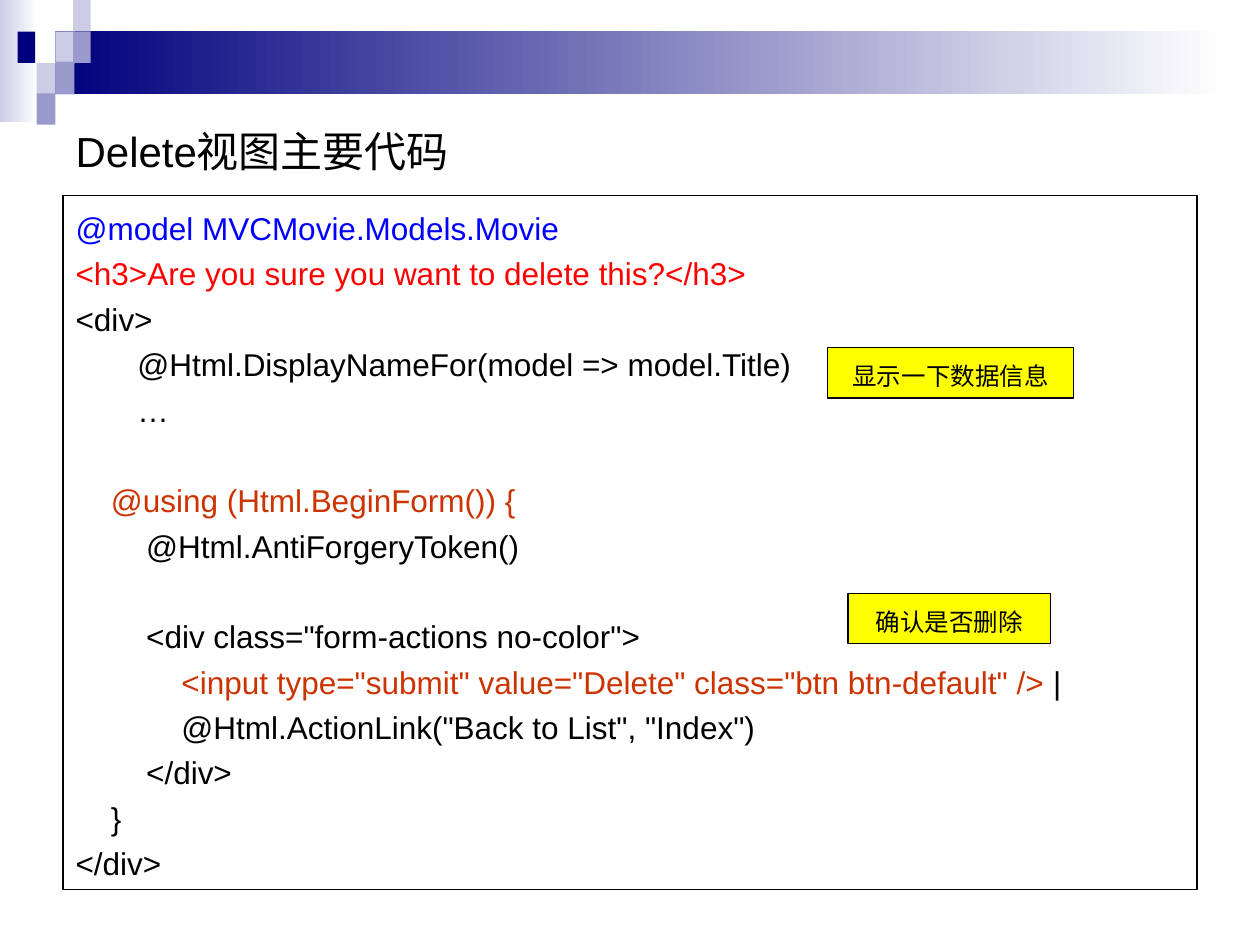
from dataclasses import dataclass
from typing import Optional

from lxml.etree import SubElement
from pptx import Presentation
from pptx.dml.color import RGBColor
from pptx.enum.shapes import MSO_SHAPE
from pptx.enum.text import MSO_ANCHOR, MSO_AUTO_SIZE, PP_ALIGN
from pptx.oxml.ns import qn
from pptx.util import Inches, Pt

COLORS = {
    "navy": "00007D", "periwinkle": "9999CC", "lavender": "CCCCE6",
    "white": "FFFFFF", "black": "000000", "blue": "0000FF",
    "red": "FF0000", "rust": "CC3300", "yellow": "FFFF00",
}
FONT = "Arial"
INDENT_STEP = 0.07  # inches per column of code indent
BLANK_LINE = 25.9  # points left free above a new part of the code


@dataclass
class Block:
    left: float
    top: float
    width: float
    height: float
    color: str
    fade_to: Optional[str] = None


@dataclass
class CodeLine:
    text: str
    indent: int = 0
    color: str = "black"
    tail: str = ""
    blank_before: bool = False


@dataclass
class Callout:
    text: str
    left: float
    top: float
    width: float


BLOCKS = [
    Block(0, 0, 0.3, 0.97, "lavender", "white"),
    Block(0.44, 0.25, 9.29, 0.5, "navy", "white"),
    Block(0.44, 0.25, 0.15, 0.26, "lavender"),
    Block(0.58, 0, 0.14, 0.25, "lavender"),
    Block(0.58, 0.25, 0.14, 0.25, "periwinkle"),
    Block(0.29, 0.5, 0.15, 0.25, "lavender"),
    Block(0.14, 0.25, 0.14, 0.25, "navy"),
    Block(0.44, 0.49, 0.15, 0.26, "periwinkle"),
    Block(0.29, 0.74, 0.15, 0.25, "periwinkle"),
]

CODE = [
    CodeLine("@model MVCMovie.Models.Movie", color="blue"),
    CodeLine("<h3>Are you sure you want to delete this?</h3>", color="red"),
    CodeLine("<div>"),
    CodeLine("@Html.DisplayNameFor(model => model.Title)", 7),
    CodeLine("…", 7),
    CodeLine("@using (Html.BeginForm()) {", 4, "rust", blank_before=True),
    CodeLine("@Html.AntiForgeryToken()", 8),
    CodeLine('<div class="form-actions no-color">', 8, blank_before=True),
    CodeLine('<input type="submit" value="Delete" class="btn btn-default" />',
             12, "rust", tail=" |"),
    CodeLine('@Html.ActionLink("Back to List", "Index")', 12),
    CodeLine("</div>", 8),
    CodeLine("}", 4),
    CodeLine("</div>"),
]

CALLOUTS = [
    Callout("显示一下数据信息", 6.57, 2.76, 1.95),
    Callout("确认是否删除", 6.73, 4.71, 1.61),
]


def rgb(name: str) -> RGBColor:
    return RGBColor.from_string(COLORS[name])


def place(shape, left: float, top: float, width: float, height: float) -> None:
    shape.left, shape.top = Inches(left), Inches(top)
    shape.width, shape.height = Inches(width), Inches(height)


def style_span(span, size: float, color: str = "black") -> None:
    span.font.name = FONT
    span.font.size = Pt(size)
    span.font.color.rgb = rgb(color)


def outline(shape) -> None:
    shape.line.color.rgb = rgb("black")
    shape.line.width = Pt(0.75)


def add_box(page, left: float, top: float, width: float, height: float):
    box = page.shapes.add_shape(MSO_SHAPE.RECTANGLE, Inches(left), Inches(top),
                                Inches(width), Inches(height))
    box.shadow.inherit = False
    return box


def add_block(page, block: Block) -> None:
    box = add_box(page, block.left, block.top, block.width, block.height)
    box.line.fill.background()
    if block.fade_to:
        box.fill.gradient()
        box.fill.gradient_angle = 0
        for stop, name in zip(box.fill.gradient_stops, (block.color, block.fade_to)):
            stop.color.rgb = rgb(name)
    else:
        box.fill.solid()
        box.fill.fore_color.rgb = rgb(block.color)


def write_line(para, line: CodeLine) -> None:
    para.text = line.text
    style_span(para.runs[0], 18, line.color)
    if line.tail:
        span = para.add_run()
        span.text = line.tail
        style_span(span, 18)
    para.alignment = PP_ALIGN.LEFT
    para.line_spacing = 1.2
    para.space_before = Pt(BLANK_LINE if line.blank_before else 0)
    para.space_after = Pt(0)
    properties = para._p.get_or_add_pPr()
    properties.set("marL", str(Inches(line.indent * INDENT_STEP)))
    properties.set("indent", "0")
    SubElement(properties, qn("a:buNone"))


def add_callout(page, callout: Callout) -> None:
    box = add_box(page, callout.left, callout.top, callout.width, 0.4)
    box.fill.solid()
    box.fill.fore_color.rgb = rgb("yellow")
    outline(box)
    frame = box.text_frame
    frame.text = callout.text
    frame.vertical_anchor = MSO_ANCHOR.TOP
    para = frame.paragraphs[0]
    para.alignment = PP_ALIGN.CENTER
    para.line_spacing = 1.25
    style_span(para.runs[0], 14)


deck = Presentation()
deck.slide_width, deck.slide_height = Inches(10), Inches(7.5)
page = deck.slides.add_slide(deck.slide_layouts[1])

# Header decoration
for block in BLOCKS:
    add_block(page, block)

# Title
title = page.shapes.title
place(title, 0.5, 0.84, 9, 0.71)
title.text_frame.text = "Delete视图主要代码"
title.text_frame.vertical_anchor = MSO_ANCHOR.MIDDLE
title.text_frame.auto_size = MSO_AUTO_SIZE.NONE
title.text_frame.paragraphs[0].alignment = PP_ALIGN.LEFT
style_span(title.text_frame.paragraphs[0].runs[0], 24)

# Code listing
listing = page.placeholders[1]
place(listing, 0.5, 1.55, 9, 5.51)
outline(listing)
frame = listing.text_frame
frame.auto_size = MSO_AUTO_SIZE.NONE
frame.vertical_anchor = MSO_ANCHOR.TOP
for index, line in enumerate(CODE):
    write_line(frame.add_paragraph() if index else frame.paragraphs[0], line)

# Callouts
for callout in CALLOUTS:
    add_callout(page, callout)

deck.save("out.pptx")
